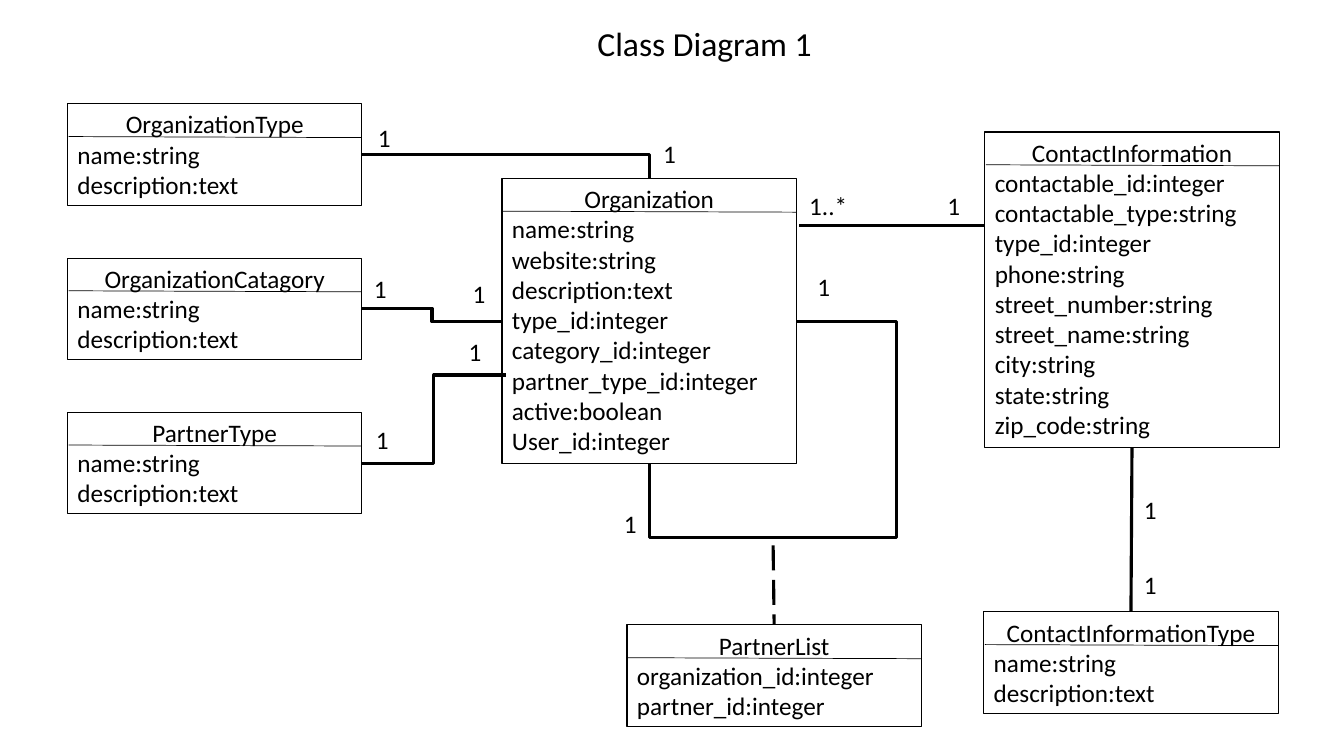
"""Build a UML class diagram slide on a grid of tenth-inch cells."""
from lxml import etree
from pptx import Presentation
from pptx.dml.color import RGBColor
from pptx.enum.dml import MSO_LINE
from pptx.enum.shapes import MSO_CONNECTOR, MSO_SHAPE
from pptx.enum.text import MSO_ANCHOR, MSO_AUTO_SIZE, PP_ALIGN
from pptx.oxml.ns import qn
from pptx.util import Inches, Pt

STRAIGHT, ELBOW = MSO_CONNECTOR.STRAIGHT, MSO_CONNECTOR.ELBOW
RECTANGLE = MSO_SHAPE.RECTANGLE
LEFT, CENTER = PP_ALIGN.LEFT, PP_ALIGN.CENTER
TOP = MSO_ANCHOR.TOP
FIT_SHAPE, NO_FIT = MSO_AUTO_SIZE.SHAPE_TO_FIT_TEXT, MSO_AUTO_SIZE.NONE
LONG_DASH = MSO_LINE.LONG_DASH

BLACK = "000000"
SLIDE_COLUMNS, SLIDE_ROWS = 133.33, 75
CLASS_COLUMNS, TEXT_ROW, CLASS_PADDING = 29.2, 3.03, 1
HEADER_ROWS = 3.25
LABEL_COLUMNS, LABEL_ROWS = 4.9, 4
TYPE_COLUMN, ORGANIZATION_COLUMN, CONTACT_COLUMN = 6.7, 49.8, 97.7
TYPE_TOP, TYPE_STEP = 10.3, 15.3

TYPE_CLASSES = ["OrganizationType", "OrganizationCatagory", "PartnerType"]
TYPE_FIELDS = ["name:string", "description:text"]
CLASSES = [
    (TYPE_COLUMN, TYPE_TOP + index * TYPE_STEP, name, TYPE_FIELDS)
    for index, name in enumerate(TYPE_CLASSES)
] + [
    (ORGANIZATION_COLUMN, 17.7, "Organization", [
        "name:string", "website:string", "description:text",
        "type_id:integer", "category_id:integer",
        "partner_type_id:integer", "active:boolean", "User_id:integer"]),
    (62.2, 62, "PartnerList", ["organization_id:integer", "partner_id:integer"]),
    (CONTACT_COLUMN, 13.1, "ContactInformation", [
        "contactable_id:integer", "contactable_type:string",
        "type_id:integer", "phone:string", "street_number:string",
        "street_name:string", "city:string", "state:string",
        "zip_code:string"]),
    (97.6, 60.7, "ContactInformationType", TYPE_FIELDS),
]
STRAIGHT_LINKS = [
    ((79.3, 22.4), (97.6, 22.4), None),
    ((112.3, 44.4), (112.2, 60.7), None),
    ((76.7, 54.1), (76.8, 62), LONG_DASH),
]
BENT_LINKS = [
    ((35.9, 15.3), (64.4, 17.7), "bentConnector2", []),
    ((35.9, 30.6), (49.8, 31.9), "bentConnector3", [0.5]),
    ((35.9, 46), (50.2, 37.2), "bentConnector3", [0.5]),
    ((79.1, 31.9), (64.4, 46), "bentConnector4", [-0.67, 1.52]),
]
MULTIPLICITIES = [
    (36.5, 11.6, "1"), (64.8, 13.2, "1"),
    (36.1, 26.6, "1"), (45.9, 27.1, "1"),
    (36.3, 41.6, "1"), (45.5, 32.9, "1"),
    (79.3, 18.4, "1..*"), (93, 18.4, "1"),
    (80.1, 26.4, "1"), (60.9, 49.9, "1"),
    (112.5, 48.6, "1"), (112.5, 56, "1"),
]


def cells(count):
    """Turn a number of grid cells into a length."""
    return Inches(count / 10)


def color(hex_value):
    """Turn a hex string into a colour."""
    return RGBColor.from_string(hex_value)


def apply_format(target, values):
    """Set every attribute in a dict of format values."""
    for attribute, value in values.items():
        setattr(target, attribute, value)


def write_lines(frame, lines, size, first_alignment=LEFT, fit=FIT_SHAPE):
    """Write paragraphs, the first with its own alignment."""
    apply_format(frame, {
        "word_wrap": True, "auto_size": fit, "vertical_anchor": TOP,
        "margin_left": cells(1), "margin_right": cells(1),
        "margin_top": cells(0.5), "margin_bottom": cells(0.5)})
    for index, line in enumerate(lines):
        paragraph = frame.add_paragraph() if index else frame.paragraphs[0]
        paragraph.alignment = LEFT if index else first_alignment
        run = paragraph.add_run()
        run.text = line
        apply_format(run.font, {"name": "Calibri", "size": Pt(size)})
        run.font.color.rgb = color(BLACK)


def add_title(slide, text):
    """Place the slide title."""
    title = slide.shapes.title
    apply_format(title, {
        "left": cells(50.2), "top": cells(1.8),
        "width": cells(39.4), "height": cells(5)})
    write_lines(title.text_frame, [text], 24, CENTER, NO_FIT)


def add_link(slide, start, end, width=2.25, dash=None, kind=STRAIGHT):
    """Draw a connector between two grid points."""
    link = slide.shapes.add_connector(kind, *map(cells, start + end))
    link.line.color.rgb = color(BLACK)
    apply_format(link.line, {"width": Pt(width), "dash_style": dash})
    etree.SubElement(link._element.spPr, qn("a:effectLst"))
    return link


def add_bent_link(slide, start, end, preset, bends):
    """Draw an angled connector with its bends as shares of its extent."""
    link = add_link(slide, start, end, kind=ELBOW)
    geometry = link._element.spPr.find(qn("a:prstGeom"))
    geometry.set("prst", preset)
    guides = geometry.find(qn("a:avLst"))
    for number, share in enumerate(bends, 1):
        etree.SubElement(guides, qn("a:gd"), name=f"adj{number}",
                         fmla=f"val {round(share * 100000)}")


def add_class(slide, column, row, name, fields):
    """Draw a class box with its name, divider and fields."""
    rows = CLASS_PADDING + TEXT_ROW * (1 + len(fields))
    box = slide.shapes.add_shape(
        RECTANGLE, *map(cells, (column, row, CLASS_COLUMNS, rows)))
    box.shadow.inherit = False
    box.fill.background()
    box.line.color.rgb = color(BLACK)
    box.line.width = Pt(0.75)
    write_lines(box.text_frame, [name, *fields], 18, CENTER)
    divider = row + HEADER_ROWS
    add_link(slide, (column + 0.1, divider),
             (column + CLASS_COLUMNS, divider + 0.1), 0.5)


def add_multiplicity(slide, column, row, text):
    """Write a multiplicity beside the end of a link."""
    columns = LABEL_COLUMNS + 0.5 * (len(text) - 1)
    label = slide.shapes.add_textbox(
        *map(cells, (column, row, columns, LABEL_ROWS)))
    write_lines(label.text_frame, [text], 18)


def main():
    """Build and save the class diagram."""
    deck = Presentation()
    apply_format(deck, {"slide_width": cells(SLIDE_COLUMNS),
                        "slide_height": cells(SLIDE_ROWS)})
    slide = deck.slides.add_slide(deck.slide_layouts[5])
    add_title(slide, "Class Diagram 1")
    for entry in CLASSES:
        add_class(slide, *entry)
    for start, end, dash in STRAIGHT_LINKS:
        add_link(slide, start, end, dash=dash)
    for bent_link in BENT_LINKS:
        add_bent_link(slide, *bent_link)
    for multiplicity in MULTIPLICITIES:
        add_multiplicity(slide, *multiplicity)
    deck.save("out.pptx")


if __name__ == "__main__":
    main()
